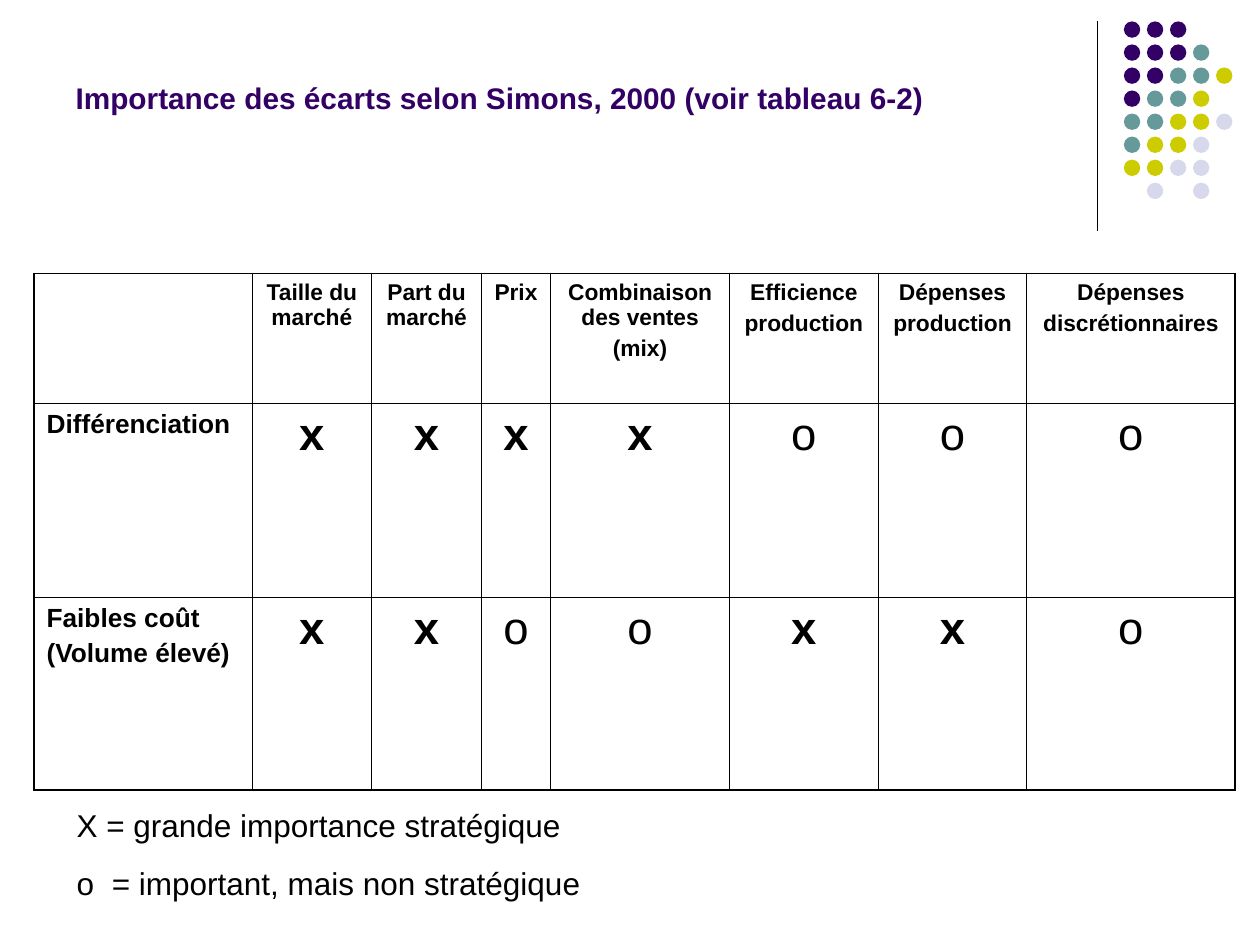
import pptx
import pptx.util
import pptx.dml.color
import pptx.enum.shapes
import pptx.enum.text
import pptx.oxml.ns
from lxml import etree

Inches, Pt = pptx.util.Inches, pptx.util.Pt
RGBColor = pptx.dml.color.RGBColor
PP_ALIGN = pptx.enum.text.PP_ALIGN
qn = pptx.oxml.ns.qn

THEME = {
    "font": "Arial",
    "ink": "000000",
    "title": "330066",
    "dots": {"P": "330066", "T": "669999", "Y": "CCCC00", "L": "D8D8EC"},
    "title_size": 17,
    "header_size": 13,
    "label_size": 15,
    "mark_size": 26,
    "legend_size": 18,
    "outer_border": 1.08,
    "inner_border": 0.45,
}

TITLE = "Importance des écarts selon Simons, 2000 (voir tableau 6-2)"
HEADERS = [
    [],
    ["Taille du marché"],
    ["Part du marché"],
    ["Prix"],
    ["Combinaison des ventes", "(mix)"],
    ["Efficience", "production"],
    ["Dépenses", "production"],
    ["Dépenses", "discrétionnaires"],
]
STRATEGIES = [
    (["Différenciation"], "xxxxooo"),
    (["Faibles coût", "(Volume élevé)"], "xxooxxo"),
]
LEGEND = ["X = grande importance stratégique", "o\t= important, mais non stratégique"]
LEGEND_TAB = 0.28

COLUMN_WIDTHS = [1.73, 0.95, 0.87, 0.55, 1.42, 1.18, 1.18, 1.65]
ROW_HEIGHTS = [1.03, 1.54, 1.53]

# One letter per dot colour, a space where the grid is empty
DOT_ROWS = ["PPP", "PPPT", "PPTTY", "PTTY", "TTYYL", "TYYL", "YYLL", " L L"]
DOT_LEFT, DOT_TOP, DOT_SIZE = 8.92, 0.17, 0.13
DOT_PITCH = 1.28 / 7


def write_paragraphs(frame, lines, size, color=THEME["ink"], bold=False,
                     align=PP_ALIGN.LEFT, space_before=0, tab=None):
    for index, line in enumerate(lines):
        paragraph = frame.paragraphs[0] if index == 0 else frame.add_paragraph()
        paragraph.alignment = align
        paragraph.space_before = Pt(space_before if index else 0)
        if tab and "\t" in line:
            tabs = etree.SubElement(paragraph._p.get_or_add_pPr(), qn("a:tabLst"))
            etree.SubElement(tabs, qn("a:tab"), pos=str(Inches(tab)), algn="l")
        run = paragraph.add_run()
        run.text = line
        run.font.name = THEME["font"]
        run.font.size = Pt(size)
        run.font.bold = bold
        run.font.color.rgb = RGBColor.from_string(color)


def set_borders(cell, outer_sides):
    properties = cell._tc.get_or_add_tcPr()
    for side in "LRTB":
        width = THEME["outer_border" if side in outer_sides else "inner_border"]
        border = etree.SubElement(properties, qn(f"a:ln{side}"), w=str(Pt(width)))
        fill = etree.SubElement(border, qn("a:solidFill"))
        etree.SubElement(fill, qn("a:srgbClr"), val=THEME["ink"])


def add_title(slide):
    title = slide.shapes.title
    title.left, title.top = Inches(0.5), Inches(0.13)
    title.width, title.height = Inches(8.25), Inches(0.84)
    title.text_frame.vertical_anchor = pptx.enum.text.MSO_ANCHOR.BOTTOM
    write_paragraphs(title.text_frame, [TITLE], THEME["title_size"], THEME["title"], True)


def add_decoration(slide):
    rule = slide.shapes.add_connector(
        pptx.enum.shapes.MSO_CONNECTOR.STRAIGHT,
        Inches(8.71), Inches(0.17), Inches(8.71), Inches(1.83))
    rule.line.color.rgb = RGBColor.from_string(THEME["ink"])
    rule.line.width = Pt(0.75)
    etree.SubElement(rule._element.spPr, qn("a:effectLst"))

    group = slide.shapes.add_group_shape()
    for row, letters in enumerate(DOT_ROWS):
        for column, letter in enumerate(letters):
            if letter == " ":
                continue
            dot = group.shapes.add_shape(
                pptx.enum.shapes.MSO_SHAPE.OVAL,
                Inches(DOT_LEFT + column * DOT_PITCH), Inches(DOT_TOP + row * DOT_PITCH),
                Inches(DOT_SIZE), Inches(DOT_SIZE))
            dot.shadow.inherit = False
            dot.fill.solid()
            dot.fill.fore_color.rgb = RGBColor.from_string(THEME["dots"][letter])
            dot.line.fill.background()


def add_variance_table(slide):
    rows, columns = len(ROW_HEIGHTS), len(COLUMN_WIDTHS)
    table = slide.shapes.add_table(
        rows, columns, Inches(0.27), Inches(2.17),
        Inches(sum(COLUMN_WIDTHS)), Inches(sum(ROW_HEIGHTS))).table
    table.first_row = table.horz_banding = False
    for column, width in zip(table.columns, COLUMN_WIDTHS):
        column.width = Inches(width)
    for row, height in zip(table.rows, ROW_HEIGHTS):
        row.height = Inches(height)

    for column, lines in enumerate(HEADERS):
        write_paragraphs(table.cell(0, column).text_frame, lines, THEME["header_size"],
                         bold=True, align=PP_ALIGN.CENTER, space_before=3.3)
    for row, (label, marks) in enumerate(STRATEGIES, 1):
        write_paragraphs(table.cell(row, 0).text_frame, label, THEME["label_size"],
                         bold=True, space_before=3.7)
        for column, mark in enumerate(marks, 1):
            write_paragraphs(table.cell(row, column).text_frame, [mark], THEME["mark_size"],
                             bold=mark == "x", align=PP_ALIGN.CENTER)

    for row in range(rows):
        for column in range(columns):
            edges = {"L": column == 0, "R": column == columns - 1,
                     "T": row == 0, "B": row == rows - 1}
            cell = table.cell(row, column)
            set_borders(cell, [side for side, outer in edges.items() if outer])
            cell.fill.background()


def add_legend(slide):
    legend = slide.shapes.add_textbox(Inches(0.51), Inches(6.35), Inches(5.43), Inches(0.86))
    legend.text_frame.word_wrap = True
    write_paragraphs(legend.text_frame, LEGEND, THEME["legend_size"],
                     space_before=11.2, tab=LEGEND_TAB)


def main():
    presentation = pptx.Presentation()
    presentation.slide_width, presentation.slide_height = Inches(10), Inches(7.5)
    slide = presentation.slides.add_slide(presentation.slide_layouts.get_by_name("Title Only"))
    add_decoration(slide)
    add_title(slide)
    add_variance_table(slide)
    add_legend(slide)
    presentation.save("out.pptx")


if __name__ == "__main__":
    main()
